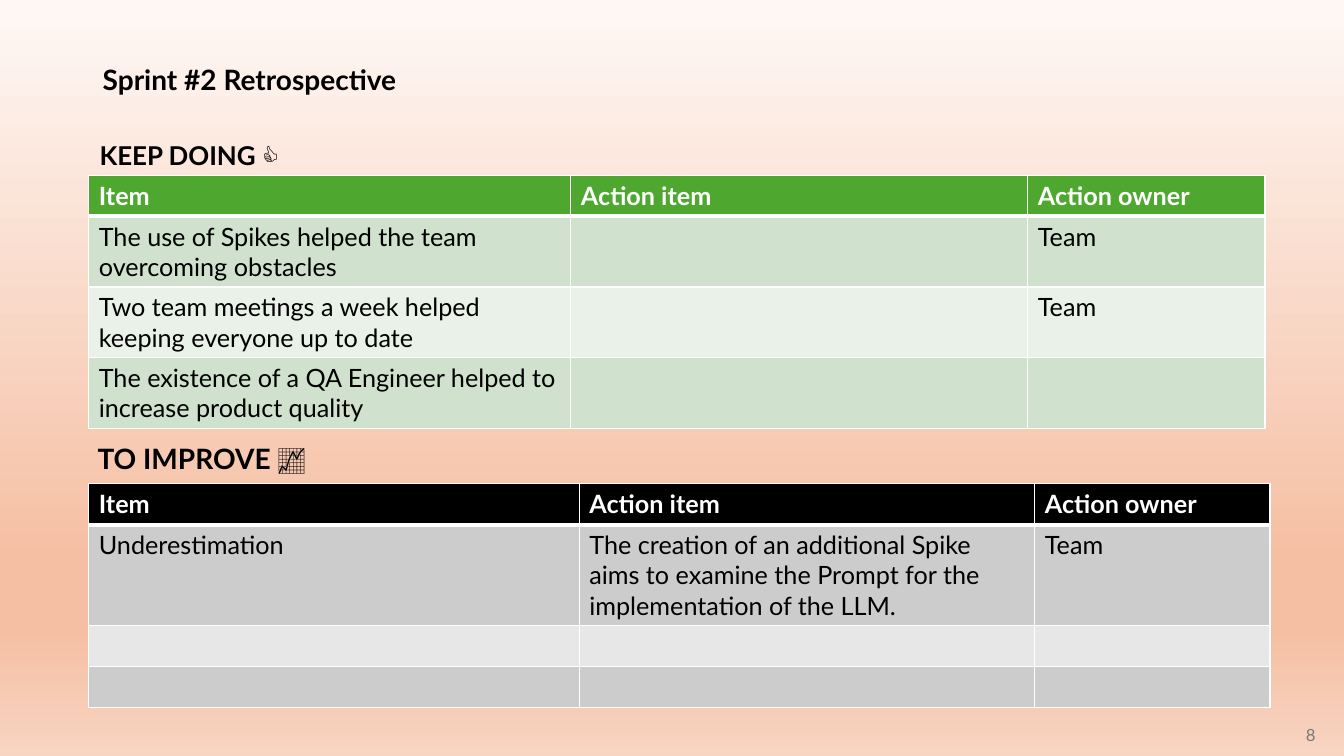
import pptx
import pptx.dml.color
import pptx.enum.text
import pptx.oxml
import pptx.oxml.ns
import pptx.util
from lxml import etree

Pt = pptx.util.Pt
ALIGN = pptx.enum.text.PP_ALIGN
ANCHOR = pptx.enum.text.MSO_ANCHOR

FONT = "Lato"
COLORS = {"text": "000000", "white": "FFFFFF", "page number": "797979"}
BACKGROUND_STOPS = [(0, "FEF8F5"), (74, "F5BFA3"), (83, "F5BFA3"), (100, "F8D4C2")]

TITLE = "Sprint #2 Retrospective"
PAGE_NUMBER = "8"
COLUMN_HEADS = ["Item", "Action item", "Action owner"]
SECTIONS = [
    {
        "heading": "KEEP DOING 👍",
        "heading box": (64.1, 87.1, 422.6, 40.3),
        "heading format": {"size": 18.5, "line_spacing": 1.4},
        "items": [
            ("The use of Spikes helped the team overcoming obstacles", "", "Team"),
            ("Two team meetings a week helped keeping everyone up to date", "", "Team"),
            ("The existence of a QA Engineer helped to increase product quality", "", ""),
        ],
        "table at": (63.4, 125.3),
        "columns": [344.4, 326.4, 169.4],
        "rows": [29.2, 50.5, 50.5, 50.5],
        "head fill": "4EA72E",
        "bands": ["D0E1CD", "E9F1E8"],
    },
    {
        "heading": "TO IMPROVE 📈",
        "heading box": (62.6, 300.2, 727.2, 46.1),
        "heading format": {"size": 20, "line_spacing": 1.5},
        "items": [
            (
                "Underestimation",
                "The creation of an additional Spike aims to examine the Prompt "
                "for the implementation of the LLM.",
                "Team",
            ),
            ("", "", ""),
            ("", "", ""),
        ],
        "table at": (63.4, 345.6),
        "columns": [350.4, 325.4, 168],
        "rows": [29.2, 72.2, 29.2, 29.2],
        "head fill": "000000",
        "bands": ["CCCCCC", "E7E7E7"],
    },
]


def rgb(value):
    return pptx.dml.color.RGBColor.from_string(value)


def write(frame, text, size=18, color="text", bold=False, align=ALIGN.LEFT,
          anchor=ANCHOR.TOP, line_spacing=None, space_before=None):
    frame.word_wrap = True
    frame.vertical_anchor = anchor
    paragraph = frame.paragraphs[0]
    paragraph.alignment = align
    if line_spacing is not None:
        paragraph.line_spacing = line_spacing
    if space_before is not None:
        paragraph.space_before = Pt(space_before)
    run = paragraph.add_run()
    run.text = text
    run.font.name = FONT
    run.font.size = Pt(size)
    run.font.bold = bold
    run.font.color.rgb = rgb(COLORS[color])


def add_label(slide, box, text, **text_format):
    label = slide.shapes.add_textbox(*map(Pt, box))
    write(label.text_frame, text, **text_format)


def paint_background(slide):
    fill = slide.background.fill
    fill.gradient()
    fill.gradient_angle = 270
    stops = slide.background._cSld.find(".//" + pptx.oxml.ns.qn("a:gsLst"))
    for old_stop in list(stops):
        stops.remove(old_stop)
    for percent, color in BACKGROUND_STOPS:
        stop = etree.SubElement(stops, pptx.oxml.ns.qn("a:gs"), pos=str(percent * 1000))
        etree.SubElement(stop, pptx.oxml.ns.qn("a:srgbClr"), val=color)


def add_borders(cell, top, bottom):
    """Draw white cell borders; top and bottom are widths in points."""
    properties = cell._tc.get_or_add_tcPr()
    for side, width in (("L", 1), ("R", 1), ("T", top), ("B", bottom)):
        properties.append(pptx.oxml.parse_xml(
            f'<a:ln{side} {pptx.oxml.ns.nsdecls("a")} w="{Pt(width)}"><a:solidFill>'
            f'<a:srgbClr val="{COLORS["white"]}"/></a:solidFill></a:ln{side}>'
        ))


def add_section_table(slide, section):
    contents = [COLUMN_HEADS] + section["items"]
    widths, heights = section["columns"], section["rows"]
    left, top = section["table at"]
    table = slide.shapes.add_table(
        len(contents), len(widths), Pt(left), Pt(top), Pt(sum(widths)), Pt(sum(heights))
    ).table
    for column, width in zip(table.columns, widths):
        column.width = Pt(width)
    for r, (row, height, texts) in enumerate(zip(table.rows, heights, contents)):
        row.height = Pt(height)
        is_head = r == 0
        for cell, text in zip(row.cells, texts):
            add_borders(cell, top=3 if r == 1 else 1, bottom=3 if is_head else 1)
            cell.fill.solid()
            cell.fill.fore_color.rgb = rgb(
                section["head fill"] if is_head else section["bands"][(r - 1) % 2]
            )
            if text:
                write(cell.text_frame, text, bold=is_head,
                      color="white" if is_head else "text")


def main():
    presentation = pptx.Presentation()
    presentation.slide_width, presentation.slide_height = Pt(960), Pt(540)
    slide = presentation.slides.add_slide(presentation.slide_layouts[5])
    paint_background(slide)

    title = slide.shapes.title
    title.left, title.top, title.width, title.height = map(Pt, (66.2, 28.8, 828, 58.3))
    write(title.text_frame, TITLE, size=20, bold=True, anchor=ANCHOR.MIDDLE,
          line_spacing=0.9)
    add_label(slide, (730.8, 510.5, 216, 28.8), PAGE_NUMBER, size=12,
              color="page number", align=ALIGN.RIGHT, anchor=ANCHOR.MIDDLE)

    for section in SECTIONS:
        add_label(slide, section["heading box"], section["heading"], bold=True,
                  space_before=10, **section["heading format"])
        add_section_table(slide, section)

    presentation.save("out.pptx")


if __name__ == "__main__":
    main()
